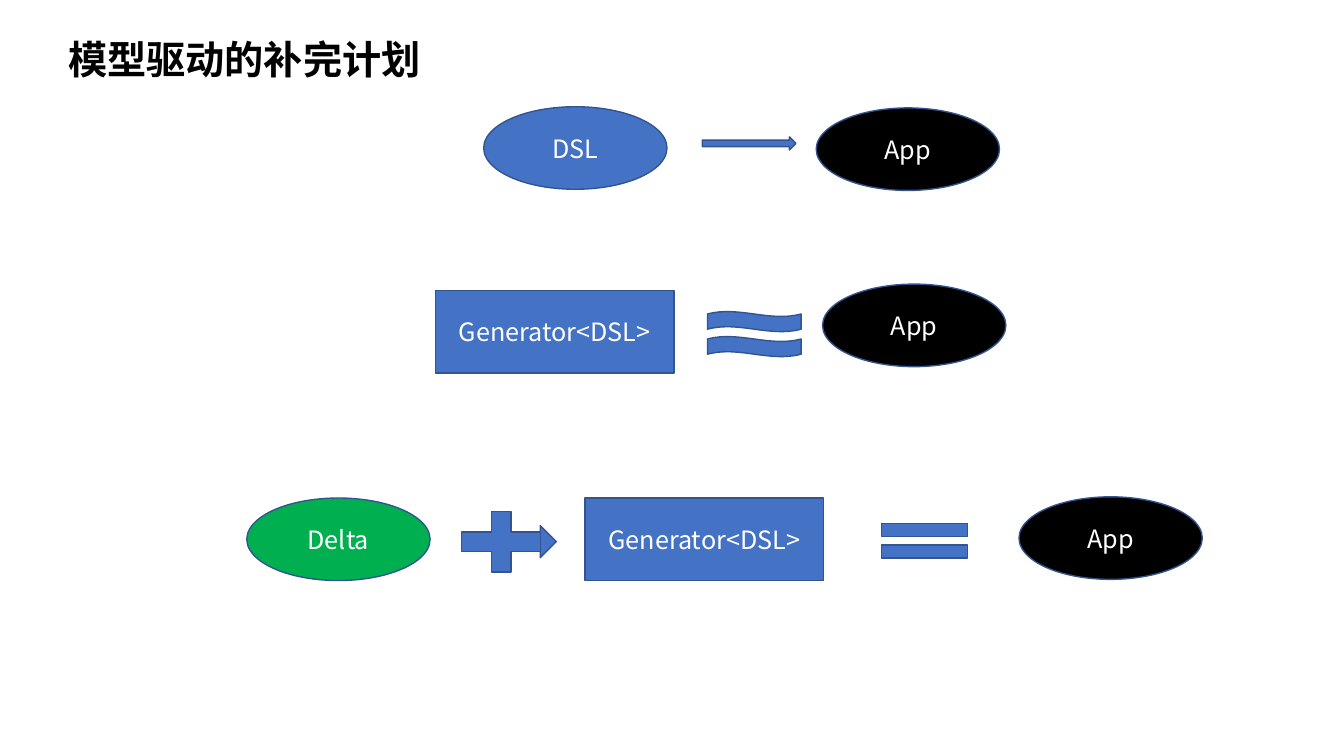
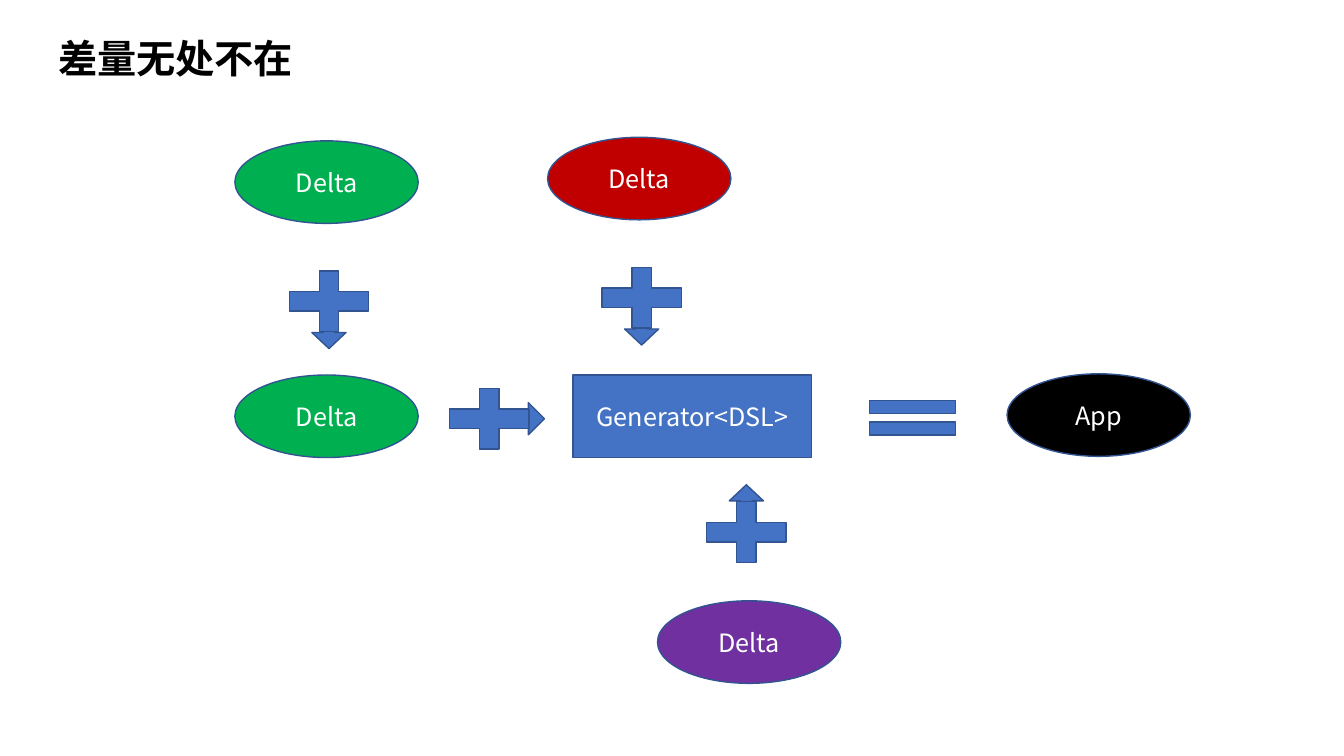
from dataclasses import dataclass

from lxml.etree import SubElement
from pptx import Presentation
from pptx.dml.color import RGBColor
from pptx.enum.shapes import MSO_SHAPE
from pptx.enum.text import MSO_ANCHOR, MSO_AUTO_SIZE, PP_ALIGN
from pptx.oxml.ns import qn
from pptx.util import Cm, Pt


@dataclass(frozen=True)
class Theme:
    """Colours, type sizes and node sizes (in centimetres) of the deck."""
    font: str = "Noto Sans CJK SC"
    title_size: int = 28
    label_size: int = 18
    line_width: int = 1
    blue: str = "4472C4"
    outline: str = "325491"
    black: str = "000000"
    white: str = "FFFFFF"
    green: str = "00B050"
    red: str = "C00000"
    purple: str = "7030A0"
    ellipse: tuple = (4.62, 2.08)
    generator: tuple = (6.02, 2.08)
    plus: tuple = (2.72, 2.08)


THEME = Theme()


def add_run(paragraph, text, size, color, bold=False):
    """Add one styled run, with the same font for Latin and East Asian text."""
    run = paragraph.add_run()
    run.text = text
    run.font.size = Pt(size)
    run.font.bold = bold
    run.font.color.rgb = RGBColor.from_string(color)
    run.font.name = THEME.font
    SubElement(run._r.get_or_add_rPr(), qn("a:ea")).set("typeface", THEME.font)


def add_figure(slide, kind, left, top, size, fill=THEME.blue, label=None):
    """Add an outlined preset shape, with a centred label if one is given."""
    shape = slide.shapes.add_shape(kind, Cm(left), Cm(top), *map(Cm, size))
    shape.shadow.inherit = False
    shape.fill.solid()
    shape.fill.fore_color.rgb = RGBColor.from_string(fill)
    shape.line.color.rgb = RGBColor.from_string(THEME.outline)
    shape.line.width = Pt(THEME.line_width)
    if label:
        shape.text_frame.vertical_anchor = MSO_ANCHOR.MIDDLE
        paragraph = shape.text_frame.paragraphs[0]
        paragraph.alignment = PP_ALIGN.CENTER
        add_run(paragraph, label, THEME.label_size, THEME.white)
    return shape


def add_ellipse(slide, left, top, label, fill):
    """Add a labelled ellipse."""
    add_figure(slide, MSO_SHAPE.OVAL, left, top, THEME.ellipse, fill, label)


def add_app(slide, left, top):
    """Add the black application ellipse."""
    add_ellipse(slide, left, top, "App", THEME.black)


def add_generator(slide, left, top):
    """Add the generator rectangle."""
    add_figure(slide, MSO_SHAPE.RECTANGLE, left, top, THEME.generator, label="Generator<DSL>")


def add_stack(slide, kind, left, top, size, pitch):
    """Add two equal bars, one under the other, as a relation sign."""
    for row in range(2):
        add_figure(slide, kind, left, top + row * pitch, size)


def add_plus_arrow(slide, left, top, rotation=0):
    """Add a plus sign whose arm ends in an arrowhead turned by the rotation."""
    width, height = THEME.plus
    if rotation:
        size = (0.81, 0.86)
        shift = 0.79 if rotation == 90 else -0.79
        arrow_left = left + (width - size[0]) / 2
        arrow_top = top + (height - size[1]) / 2 + shift
    else:
        size = (2.34, 0.81)
        arrow_left, arrow_top = left + 0.41, top + (height - size[1]) / 2
    arrow = add_figure(slide, MSO_SHAPE.RIGHT_ARROW, arrow_left, arrow_top, size)
    arrow.adjustments[0], arrow.adjustments[1] = 0.337, 0.5
    arrow.rotation = rotation
    add_figure(slide, MSO_SHAPE.MATH_PLUS, left, top, THEME.plus)


def add_title(slide, left, top, width, text):
    """Add the bold slide title."""
    box = slide.shapes.add_textbox(Cm(left), Cm(top), Cm(width), Cm(1.45))
    box.text_frame.word_wrap = True
    box.text_frame.auto_size = MSO_AUTO_SIZE.SHAPE_TO_FIT_TEXT
    add_run(box.text_frame.paragraphs[0], text, THEME.title_size, THEME.black, bold=True)


def add_derivation(slide, left, top):
    """Place the row in which the DSL leads to the application."""
    add_ellipse(slide, left, top, "DSL", THEME.blue)
    add_figure(slide, MSO_SHAPE.RIGHT_ARROW, left + 5.51, top + 0.76, (2.36, 0.33))
    add_app(slide, left + 8.38, top + 0.03)


def add_approximation(slide, left, top):
    """Place the row in which the generator approximates the application."""
    add_generator(slide, left, top)
    add_stack(slide, MSO_SHAPE.WAVE, left + 6.86, top + 0.53, (2.36, 0.51), 0.63)
    add_app(slide, left + 9.76, top - 0.16)


def add_equation(slide, left, top):
    """Place the row in which delta plus generator equals the application."""
    add_ellipse(slide, left, top, "Delta", THEME.green)
    add_plus_arrow(slide, left + 5.05, top + 0.06)
    add_generator(slide, left + 8.52, top)
    add_stack(slide, MSO_SHAPE.RECTANGLE, left + 16, top + 0.64, (2.16, 0.33), 0.54)
    add_app(slide, left + 19.46, top - 0.03)


def add_delta_above(slide, left, top, fill):
    """Place a delta that is added downwards."""
    add_ellipse(slide, left, top, "Delta", fill)
    add_plus_arrow(slide, left + 1.01, top + 3, rotation=90)


def add_delta_below(slide, left, top, fill):
    """Place a delta that is added upwards."""
    add_ellipse(slide, left, top, "Delta", fill)
    add_plus_arrow(slide, left + 0.88, top - 2.77, rotation=270)


def build_completion_slide(slide):
    """Build the slide on completing model-driven development."""
    add_derivation(slide, 12.19, 2.69)
    add_approximation(slide, 10.97, 7.32)
    add_equation(slide, 6.22, 12.55)
    add_title(slide, 1.47, 0.76, 9.8, "模型驱动的补完计划")


def build_deltas_slide(slide):
    """Build the slide on deltas being everywhere."""
    add_equation(slide, 5.92, 9.45)
    add_delta_above(slide, 13.8, 3.46, THEME.red)
    add_delta_above(slide, 5.92, 3.55, THEME.green)
    add_delta_below(slide, 16.57, 15.14, THEME.purple)
    add_title(slide, 1.22, 0.74, 8.08, "差量无处不在")


def main():
    """Build and save the presentation."""
    presentation = Presentation()
    presentation.slide_width, presentation.slide_height = Cm(33.87), Cm(19.05)
    for build in (build_completion_slide, build_deltas_slide):
        build(presentation.slides.add_slide(presentation.slide_layouts[6]))
    presentation.save("out.pptx")


if __name__ == "__main__":
    main()
